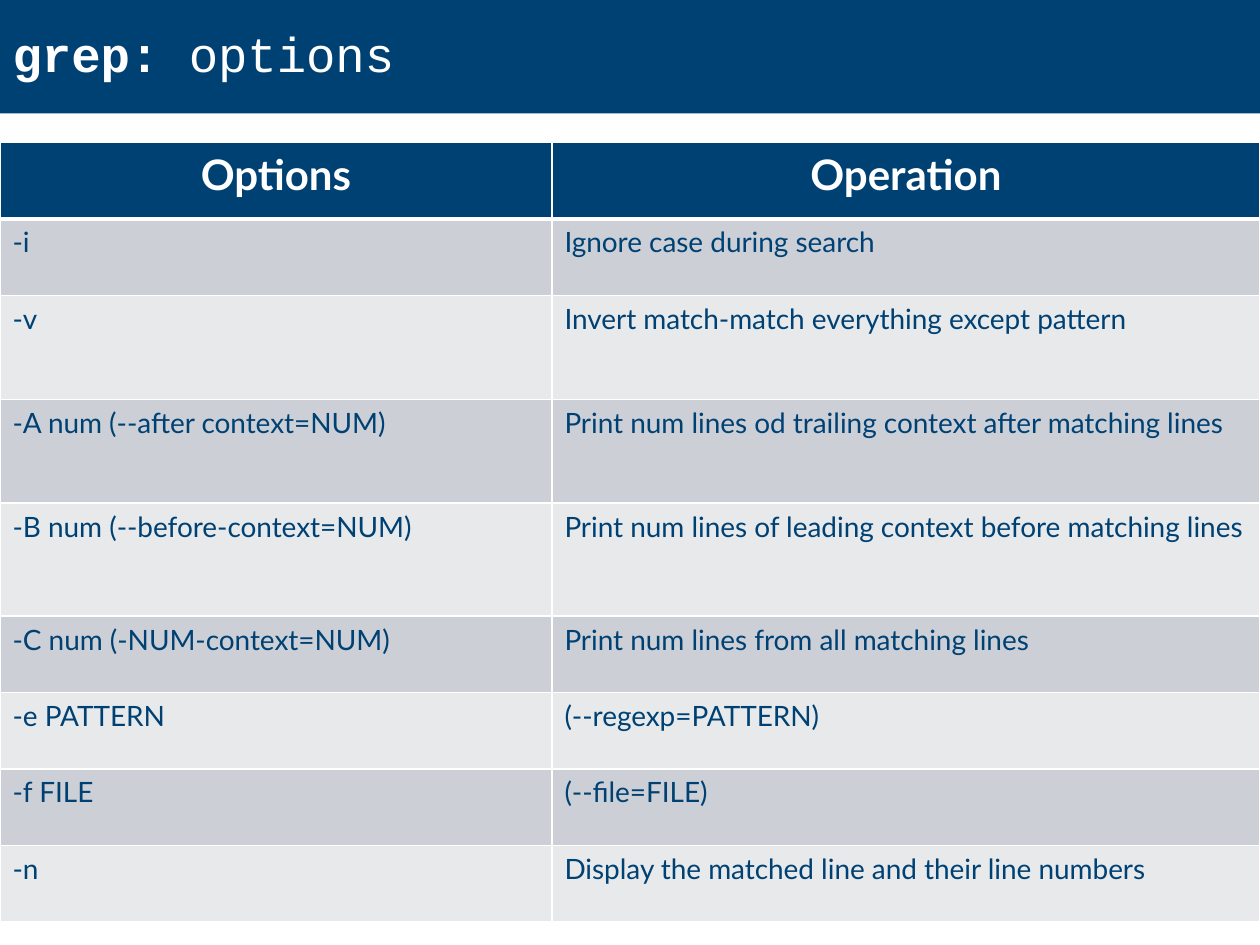
from typing import NamedTuple

from lxml import etree
from pptx import Presentation
from pptx.dml.color import RGBColor
from pptx.enum import text
from pptx.oxml import ns
from pptx.util import Pt

NAVY, WHITE = "004174", "FFFFFF"
BANDS = ("CCCFD6", "E7E9EB")
SLIDE_WIDTH, SLIDE_HEIGHT = 720, 540
TITLE_HEIGHT = 64.8
TABLE_TOP = 81.4
COLUMN_WIDTHS = (315.4, 404.6)


class Row(NamedTuple):
    option: str
    operation: str
    height: float = 43.7


HEADER = Row("Options", "Operation")
OPTIONS = (
    Row("-i", "Ignore case during search"),
    Row("-v", "Invert match-match everything except pattern", 59.4),
    Row("-A num (--after context=NUM)",
        "Print num lines od trailing context after matching lines", 59.4),
    Row("-B num (--before-context=NUM)",
        "Print num lines of leading context before matching lines", 64.6),
    Row("-C num (-NUM-context=NUM)", "Print num lines from all matching lines"),
    Row("-e PATTERN", "(--regexp=PATTERN)"),
    Row("-f FILE", "(--file=FILE)"),
    Row("-n", "Display the matched line and their line numbers"),
)


def paint(fill, color: str) -> None:
    fill.solid()
    fill.fore_color.rgb = RGBColor.from_string(color)


def set_font(font, name: str, size: float, color: str) -> None:
    font.name, font.size = name, Pt(size)
    paint(font.fill, color)


def add_borders(cell, top: float, bottom: float) -> None:
    """Give a cell white borders; the sides are 1 pt wide."""
    properties = cell._tc.get_or_add_tcPr()
    for side, width in (("L", 1), ("R", 1), ("T", top), ("B", bottom)):
        line = etree.SubElement(properties, ns.qn(f"a:ln{side}"), w=str(Pt(width)))
        fill = etree.SubElement(line, ns.qn("a:solidFill"))
        etree.SubElement(fill, ns.qn("a:srgbClr"), val=WHITE)


def add_title(slide) -> None:
    title = slide.shapes.title
    title.left, title.top = Pt(0), Pt(0)
    title.width, title.height = Pt(SLIDE_WIDTH), Pt(TITLE_HEIGHT)
    paint(title.fill, NAVY)
    frame = title.text_frame
    frame.auto_size = text.MSO_AUTO_SIZE.NONE
    frame.vertical_anchor = text.MSO_ANCHOR.MIDDLE
    paragraph = frame.paragraphs[0]
    paragraph.alignment = text.PP_ALIGN.LEFT
    paragraph.line_spacing = 0.9
    set_font(paragraph.font, "Courier New", 28, WHITE)
    for words, bold in (("grep: ", True), ("options", False)):
        run = paragraph.add_run()
        run.text = words
        run.font.bold = bold
        set_font(run.font, "Courier New", 28, WHITE)


def fill_cell(cell, words: str, row_index: int) -> None:
    is_header = row_index == 0
    add_borders(cell, top=3 if row_index == 1 else 1, bottom=3 if is_header else 1)
    paint(cell.fill, NAVY if is_header else BANDS[(row_index - 1) % 2])
    cell.text = words
    paragraph = cell.text_frame.paragraphs[0]
    paragraph.alignment = text.PP_ALIGN.CENTER if is_header else text.PP_ALIGN.LEFT
    font = paragraph.runs[0].font
    set_font(font, "Lato", 24 if is_header else 16, WHITE if is_header else NAVY)
    font.bold = is_header


def add_options_table(slide, rows: tuple[Row, ...]) -> None:
    height = sum(row.height for row in rows)
    table = slide.shapes.add_table(len(rows), len(COLUMN_WIDTHS), Pt(0), Pt(TABLE_TOP),
                                   Pt(SLIDE_WIDTH), Pt(height)).table
    for column, width in zip(table.columns, COLUMN_WIDTHS):
        column.width = Pt(width)
    for row_index, row in enumerate(rows):
        table.rows[row_index].height = Pt(row.height)
        for column_index, words in enumerate((row.option, row.operation)):
            fill_cell(table.cell(row_index, column_index), words, row_index)


def main() -> None:
    presentation = Presentation()
    presentation.slide_width, presentation.slide_height = Pt(SLIDE_WIDTH), Pt(SLIDE_HEIGHT)
    # Title-only layout
    slide = presentation.slides.add_slide(presentation.slide_layouts[5])
    add_title(slide)
    add_options_table(slide, (HEADER, *OPTIONS))
    presentation.save("out.pptx")


if __name__ == "__main__":
    main()
